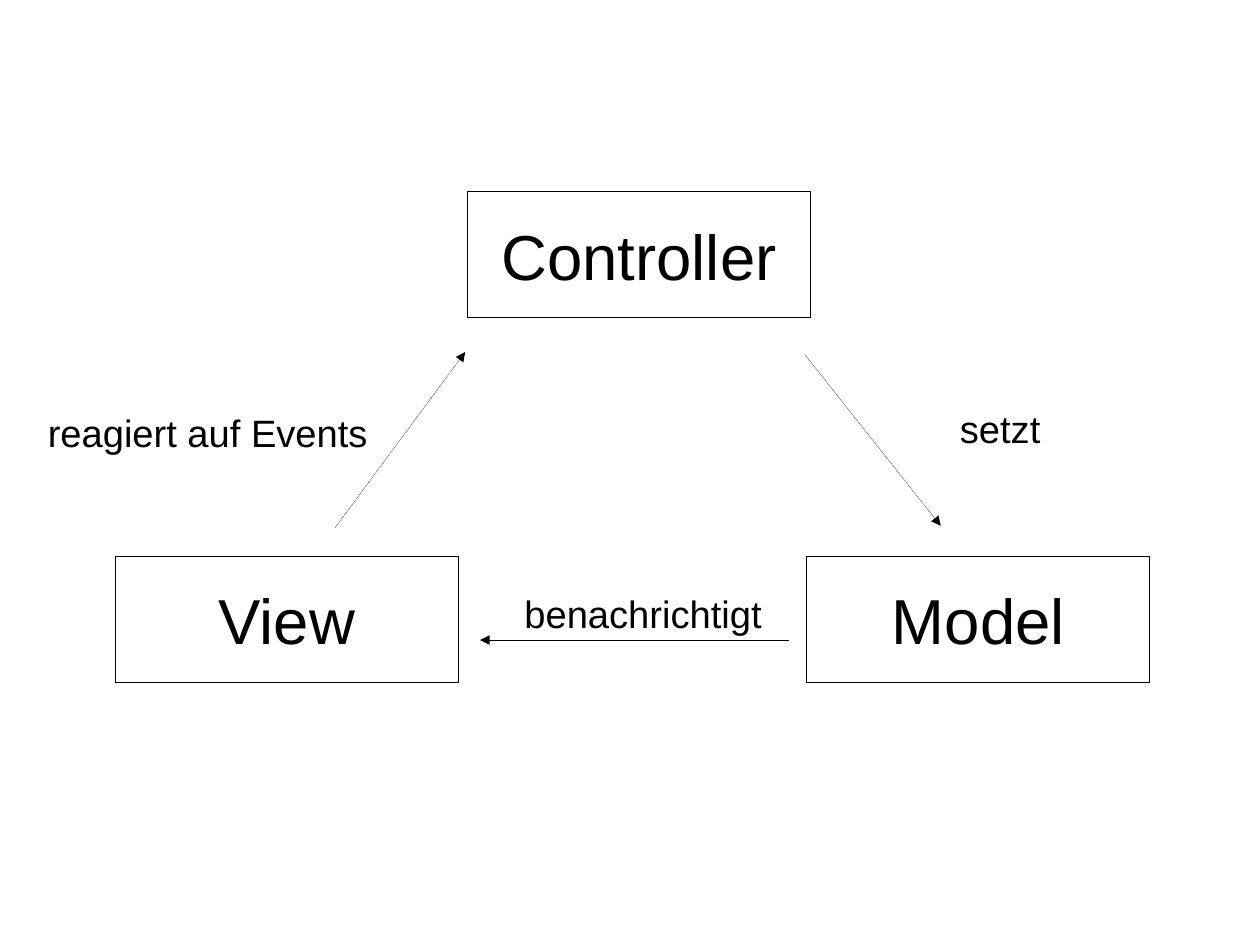
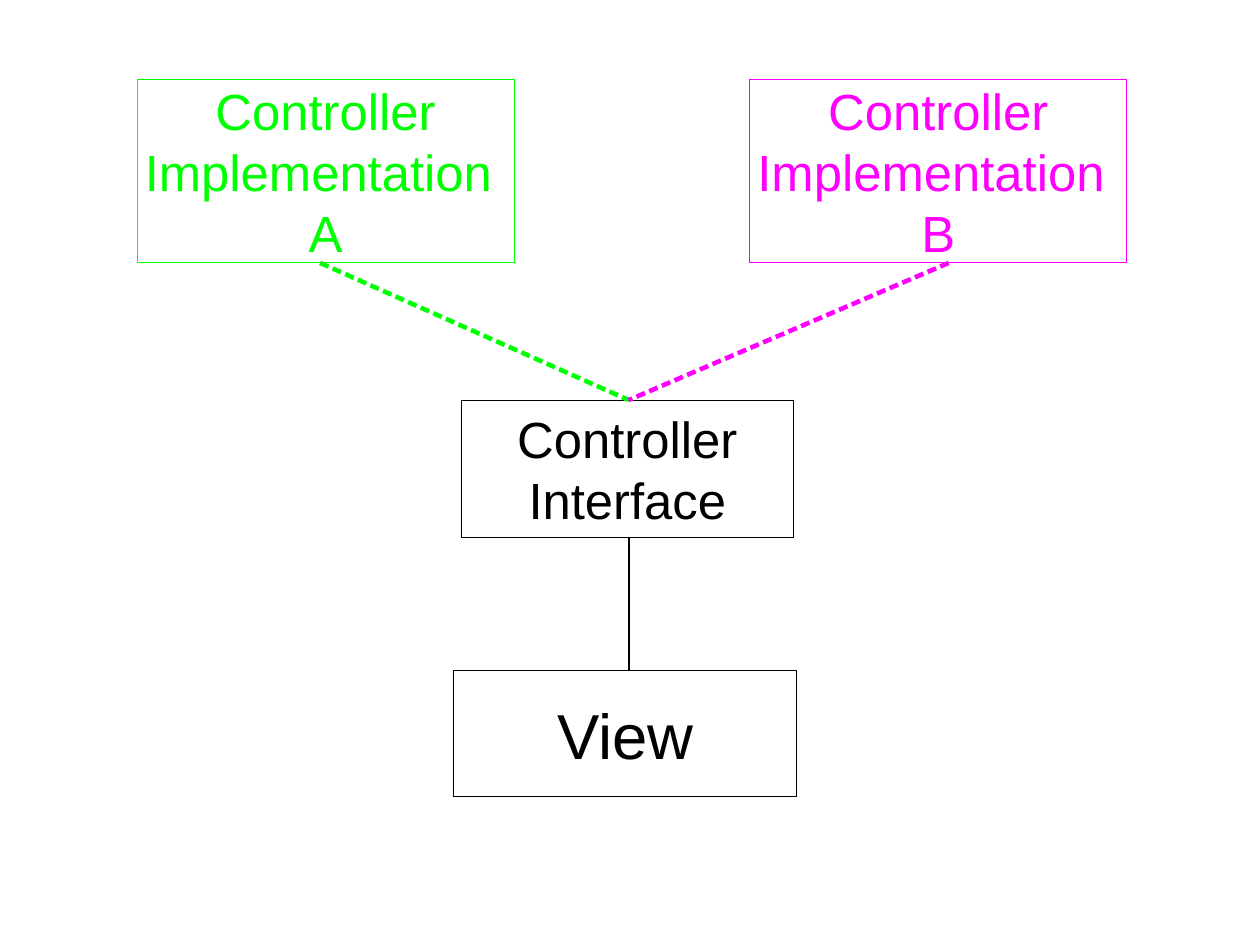
from lxml.etree import SubElement
from pptx import Presentation
from pptx.dml.color import RGBColor
from pptx.enum.shapes import MSO_CONNECTOR, MSO_SHAPE
from pptx.enum.text import MSO_ANCHOR, MSO_AUTO_SIZE, PP_ALIGN
from pptx.oxml.ns import qn
from pptx.util import Inches, Mm, Pt

FONT = "Arial"
COLORS = {"black": "000000", "green": "00FF00", "magenta": "FF00FF"}
BOX_W, BOX_H = 3, 1.1
IMPL_W, IMPL_H = 3.3, 1.6


def rgb(name):
    return RGBColor.from_string(COLORS[name])


def style_line(line, color, width=0):
    line.color.rgb = rgb(color)
    ln = line._get_or_add_ln()
    ln.set("w", str(Pt(width)))
    return ln


def write(tf, lines, size, color="black", align=PP_ALIGN.LEFT):
    tf.word_wrap = False
    for i, line in enumerate(lines):
        p = tf.add_paragraph() if i else tf.paragraphs[0]
        p.text = line
        p.alignment = align
        p.font.name = FONT
        p.font.size = Pt(size)
        p.font.color.rgb = rgb(color)


def add_box(s, x, y, lines, w=BOX_W, h=BOX_H, size=40, color="black"):
    sp = s.shapes.add_shape(MSO_SHAPE.RECTANGLE, Inches(x), Inches(y), Inches(w), Inches(h))
    sp.shadow.inherit = False
    sp.fill.background()
    style_line(sp.line, color)
    sp.text_frame.vertical_anchor = MSO_ANCHOR.MIDDLE
    write(sp.text_frame, lines, size, color, PP_ALIGN.CENTER)


def add_label(s, x, y, w, text):
    sp = s.shapes.add_textbox(Inches(x), Inches(y), Inches(w), Inches(0.47))
    sp.text_frame.auto_size = MSO_AUTO_SIZE.SHAPE_TO_FIT_TEXT
    write(sp.text_frame, [text], 24)


def add_line(s, start, end, width=0, color="black", dashed=False, arrow=False):
    points = [Inches(v) for v in (*start, *end)]
    cx = s.shapes.add_connector(MSO_CONNECTOR.STRAIGHT, *points)
    ln = style_line(cx.line, color, width)
    if dashed:
        SubElement(SubElement(ln, qn("a:custDash")), qn("a:ds"), d="200000", sp="100000")
    if arrow:
        SubElement(ln, qn("a:tailEnd"), type="triangle")
    SubElement(cx._element.spPr, qn("a:effectLst"))


def build_cycle(s):
    for x, y, name in [(4.09, 1.68, "Controller"), (7.06, 4.87, "Model"), (1.01, 4.87, "View")]:
        add_box(s, x, y, [name])
    for start, end in [((6.9, 5.6), (4.2, 5.6)), ((2.93, 4.62), (4.07, 3.08)), ((7.04, 3.1), (8.23, 4.6))]:
        add_line(s, start, end, arrow=True)
    add_label(s, 4.49, 5.12, 2.3, "benachrichtigt")
    add_label(s, 0.32, 3.53, 3, "reagiert auf Events")
    add_label(s, 8.3, 3.5, 0.94, "setzt")


def build_interface(s):
    joint = (5.5, 3.5)
    add_box(s, 3.97, 5.87, ["View"])
    add_box(s, 4.04, 3.5, ["Controller", "Interface"], 2.9, 1.2, 32)
    add_line(s, (5.5, 4.7), (5.5, 5.87), 1.45)
    for x, foot, letter, color in [(1.2, 2.8, "A", "green"), (6.56, 8.3, "B", "magenta")]:
        add_box(s, x, 0.7, ["Controller", "Implementation ", letter], IMPL_W, IMPL_H, 32, color)
        add_line(s, (foot, 0.7 + IMPL_H), joint, 2.89, color, dashed=True)


def main():
    prs = Presentation()
    prs.slide_width, prs.slide_height = Mm(280), Mm(210)
    for build in (build_cycle, build_interface):
        build(prs.slides.add_slide(prs.slide_layouts[6]))
    prs.save("out.pptx")


if __name__ == "__main__":
    main()
